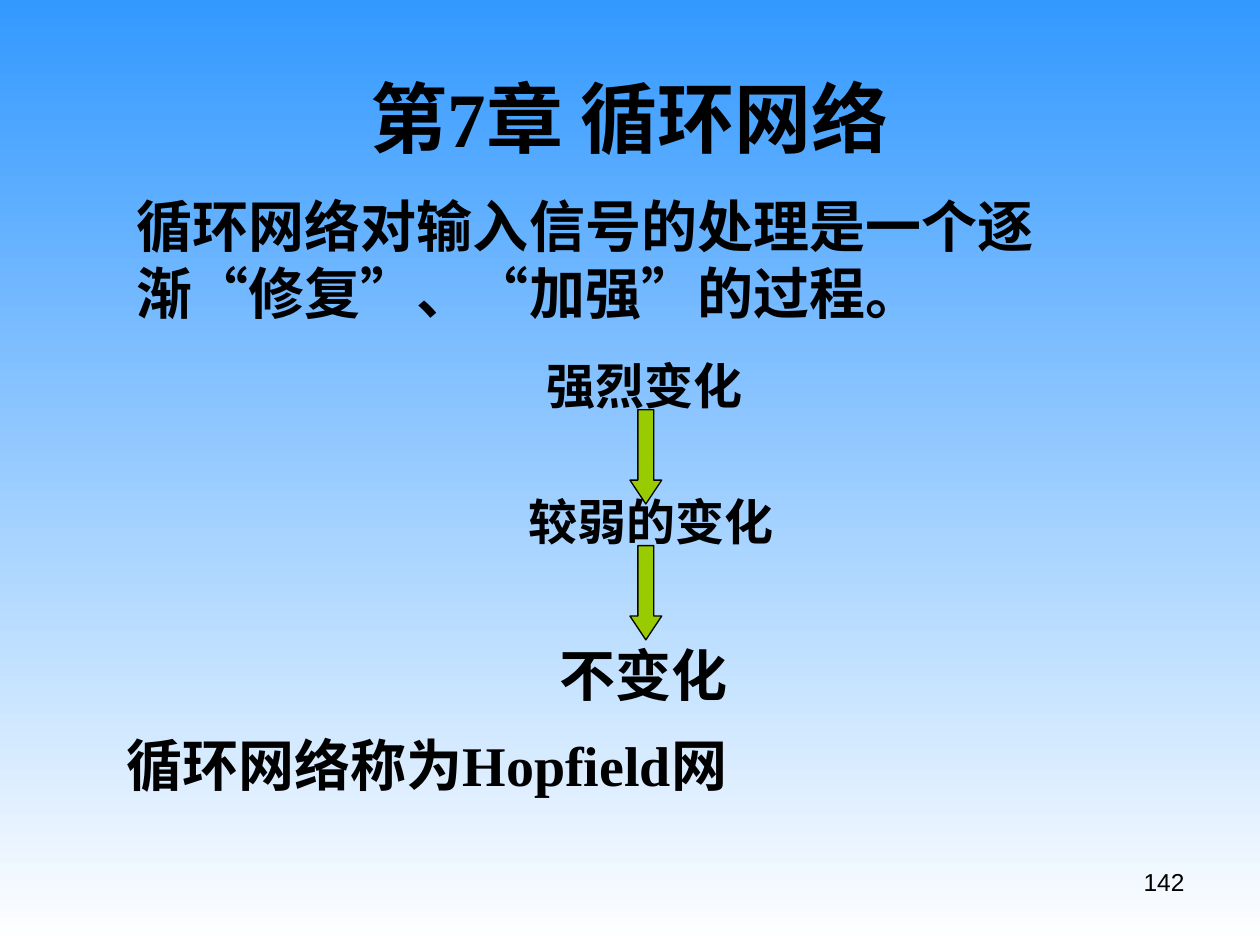
from dataclasses import dataclass

from lxml import etree
from pptx import Presentation
from pptx import util as u
from pptx.dml.color import RGBColor
from pptx.enum import lang, shapes, text
from pptx.oxml.ns import qn

CJK, SERIF, SANS = "Noto Sans CJK SC", "Times New Roman", "Arial"
INK, ARROW_GREEN, SKY, WHITE = "000000", "99CC00", "3399FF", "FFFFFF"


@dataclass
class Piece:
    words: str
    font: str = CJK


@dataclass
class Label:
    words: str
    left: float
    top: float
    width: float
    height: float
    size: int
    font: str = CJK
    bold: bool = True
    wrap: bool = False
    align: text.PP_ALIGN = text.PP_ALIGN.LEFT


def color(hex_value: str) -> RGBColor:
    return RGBColor.from_string(hex_value)


def place(shape, left: float, top: float, width: float, height: float) -> None:
    shape.left, shape.top = u.Cm(left), u.Cm(top)
    shape.width, shape.height = u.Cm(width), u.Cm(height)


def add_piece(paragraph, piece: Piece, size: int, bold: bool = True) -> None:
    run = paragraph.add_run()
    run.text = piece.words
    font = run.font
    font.size, font.bold, font.name = u.Pt(size), bold, piece.font
    font.color.rgb = color(INK)
    if piece.font == CJK:
        font.language_id = lang.MSO_LANGUAGE_ID.SIMPLIFIED_CHINESE
        east_asian = etree.SubElement(run._r.get_or_add_rPr(), qn("a:ea"))
        east_asian.set("typeface", CJK)


def fill_placeholder(holder, pieces: list[Piece], size: int):
    """Write the pieces into the placeholder and return its paragraph."""
    frame = holder.text_frame
    frame.auto_size = text.MSO_AUTO_SIZE.NONE
    paragraph = frame.paragraphs[0]
    paragraph.space_before = u.Pt(0)
    for piece in pieces:
        add_piece(paragraph, piece, size)
    return paragraph


def add_label(slide, label: Label) -> None:
    box = slide.shapes.add_textbox(0, 0, 0, 0)
    place(box, label.left, label.top, label.width, label.height)
    frame = box.text_frame
    frame.word_wrap = label.wrap
    paragraph = frame.paragraphs[0]
    paragraph.alignment = label.align
    add_piece(paragraph, Piece(label.words, label.font), label.size, label.bold)


def add_down_arrow(slide, top: float) -> None:
    arrow = slide.shapes.add_shape(
        shapes.MSO_SHAPE.DOWN_ARROW, u.Cm(12.7), u.Cm(top), u.Cm(0.64), u.Cm(1.9))
    arrow.adjustments[0], arrow.adjustments[1] = 0.5, 0.75
    arrow.shadow.inherit = False
    arrow.fill.solid()
    arrow.fill.fore_color.rgb = color(ARROW_GREEN)
    arrow.line.color.rgb = color(INK)
    arrow.line.width = u.Pt(0.75)


def paint_background(slide) -> None:
    fill = slide.background.fill
    fill.gradient()
    fill.gradient_angle = 270
    for stop, position, shade in zip(fill.gradient_stops, (0, 1), (SKY, WHITE)):
        stop.position = position
        stop.color.rgb = color(shade)


LABELS = [
    Label("循环网络对输入信号的处理是一个逐渐“修复”、“加强”的过程。",
          2.51, 3.73, 21.62, 2.97, 32, wrap=True),
    Label("强烈变化", 10.77, 7.04, 4.45, 1.45, 28),
    Label("较弱的变化", 10.41, 9.78, 5.44, 1.45, 28),
    Label("不变化", 11.02, 12.78, 3.89, 1.63, 32),
    Label("142", 18.21, 17.35, 5.92, 1.32, 14, SANS, bold=False, wrap=True,
          align=text.PP_ALIGN.RIGHT),
]


def main() -> None:
    deck = Presentation()
    deck.slide_width, deck.slide_height = u.Cm(25.4), u.Cm(19.05)
    slide = deck.slides.add_slide(deck.slide_layouts[1])
    paint_background(slide)

    title, body = slide.placeholders
    place(title, 1.27, 0.76, 22.86, 3.18)
    title.text_frame.vertical_anchor = text.MSO_ANCHOR.MIDDLE
    heading = fill_placeholder(
        title, [Piece("第"), Piece("7", SERIF), Piece("章 循环网络")], 44)
    heading.alignment = text.PP_ALIGN.CENTER

    place(body, 1.27, 14.6, 22.86, 1.7)
    conclusion = fill_placeholder(
        body, [Piece("循环网络称为"), Piece("Hopfield", SERIF), Piece("网")], 32)
    properties = conclusion._p.get_or_add_pPr()
    properties.set("marL", str(u.Cm(1.02)))
    properties.set("indent", "0")
    etree.SubElement(properties, qn("a:buNone"))

    for top in (8.26, 11.0):
        add_down_arrow(slide, top)
    for label in LABELS:
        add_label(slide, label)
    deck.save("out.pptx")


if __name__ == "__main__":
    main()
